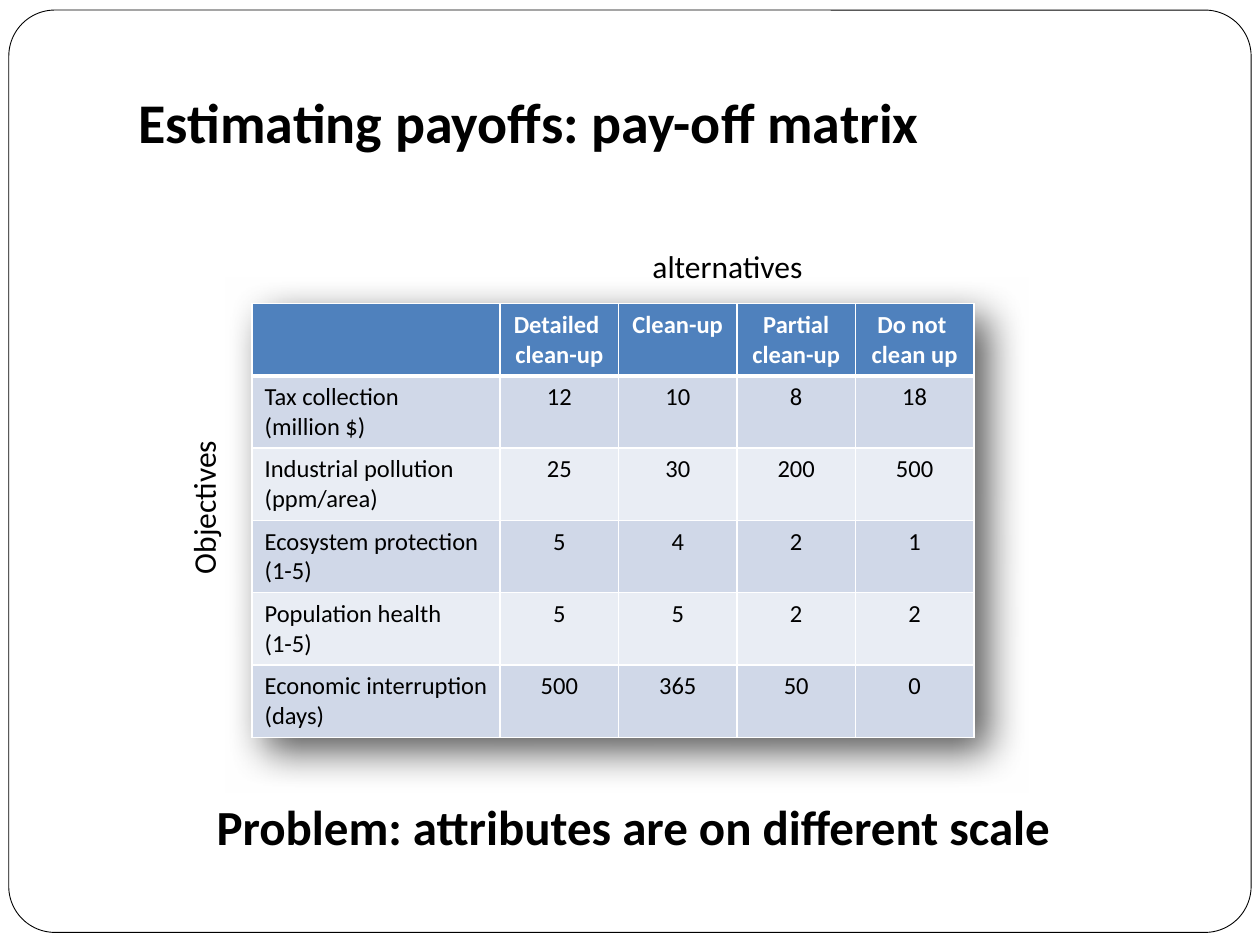
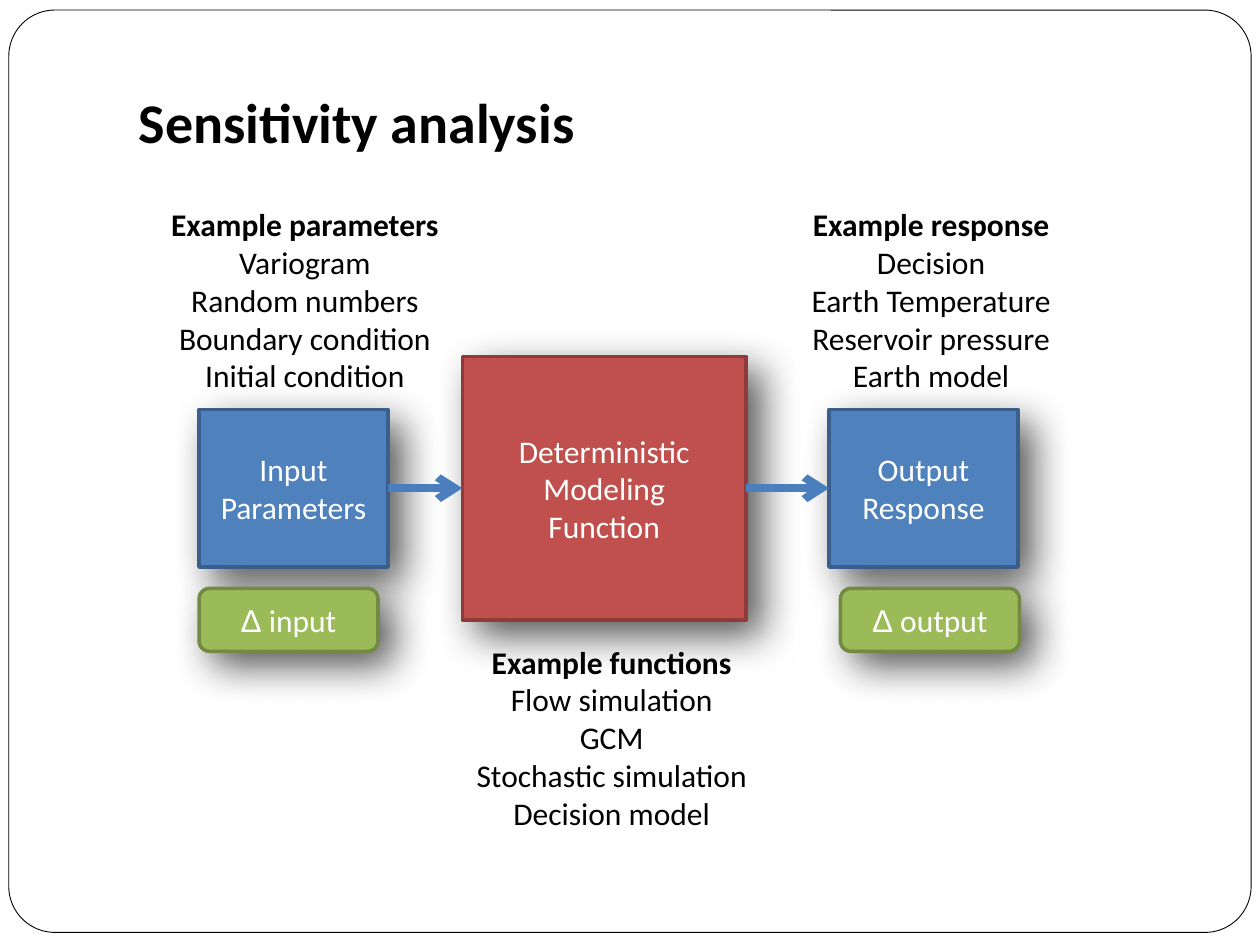
from dataclasses import dataclass
from typing import NamedTuple

import pptx
import pptx.dml.color
import pptx.enum.shapes
import pptx.enum.text
import pptx.oxml
import pptx.oxml.ns
import pptx.util

Inches = pptx.util.Inches
Pt = pptx.util.Pt
RGBColor = pptx.dml.color.RGBColor
Align = pptx.enum.text.PP_ALIGN
Anchor = pptx.enum.text.MSO_ANCHOR
Fit = pptx.enum.text.MSO_AUTO_SIZE
Form = pptx.enum.shapes.MSO_SHAPE
qn = pptx.oxml.ns.qn

BLACK = RGBColor(0x00, 0x00, 0x00)
WHITE = RGBColor(0xFF, 0xFF, 0xFF)
BLUE = RGBColor(0x4F, 0x81, 0xBD)
NAVY = RGBColor(0x3A, 0x5F, 0x8C)
ARROW = RGBColor(0x4B, 0x7E, 0xBC)
RED = RGBColor(0xC0, 0x50, 0x4D)
MAROON = RGBColor(0x8E, 0x3B, 0x39)
GREEN = RGBColor(0x9B, 0xBB, 0x59)
OLIVE = RGBColor(0x73, 0x8A, 0x42)
BANDS = (RGBColor(0xE9, 0xED, 0xF4), RGBColor(0xD0, 0xD8, 0xE8))

NS = pptx.oxml.ns.nsdecls("a")
SHADE = (
    f'<a:outerShdw {NS} blurRad="{Pt(23)}" dist="{Pt(11)}" dir="2700000" algn="tl" rotWithShape="0">'
    '<a:srgbClr val="000000"><a:alpha val="65000"/></a:srgbClr></a:outerShdw>'
)


class Run(NamedTuple):
    text: str
    bold: bool = False
    font: str = "Calibri"


class Place(NamedTuple):
    left: float
    top: float
    width: float
    height: float

    def inches(self) -> list:
        return [Inches(side) for side in self]


Lines = list[list[Run]]


@dataclass
class Label:
    place: Place
    lines: Lines
    size: int = 18
    align: Align = Align.CENTER
    turn: int = 0


@dataclass
class Block:
    place: Place
    lines: Lines
    fill: RGBColor
    edge: RGBColor
    form: Form = Form.RECTANGLE


HEADS = ["", "Detailed \nclean-up", "Clean-up", "Partial clean-up", "Do not \nclean up"]
GOALS = [
    ["Tax collection\n(million $)", "12", "10", "8", "18"],
    ["Industrial pollution (ppm/area)", "25", "30", "200", "500"],
    ["Ecosystem protection\n(1-5)", "5", "4", "2", "1"],
    ["Population health\n(1-5)", "5", "5", "2", "2"],
    ["Economic interruption\n(days)", "500", "365", "50", "0"],
]


def plain(text: str, bold: bool = False) -> Lines:
    return [[Run(line, bold)] for line in text.split("\n")]


def listing(head: str, text: str) -> Lines:
    return plain(head, True) + plain(text)


def write(frame, lines: Lines, size: int, tint: RGBColor, align: Align) -> None:
    for spot, line in enumerate(lines):
        para = frame.paragraphs[0] if spot == 0 else frame.add_paragraph()
        para.alignment = align
        for part in line:
            run = para.add_run()
            run.text = part.text
            run.font.name = part.font
            run.font.size = Pt(size)
            run.font.bold = part.bold
            run.font.color.rgb = tint


def add_frame(slide) -> None:
    frame = slide.shapes.add_shape(Form.ROUNDED_RECTANGLE, *Place(0.07, 0.08, 9.86, 7.32).inches())
    frame.adjustments[0] = 0.05
    frame.shadow.inherit = False
    frame.fill.solid()
    frame.fill.fore_color.rgb = WHITE
    frame.line.color.rgb = BLACK
    frame.line.width = Pt(0.5)
    slide.slide_layout.shapes.element.insert(2, frame.element)


def add_slide(deck, head: str):
    slide = deck.slides.add_slide(deck.slide_layouts[5])
    title = slide.shapes.title
    title.left, title.top, title.width, title.height = Place(1, 0.08, 8.5, 1.25).inches()
    frame = title.text_frame
    frame.auto_size = Fit.NONE
    frame.vertical_anchor = Anchor.BOTTOM
    frame.margin_bottom = Inches(0.1)
    write(frame, plain(head, True), 32, BLACK, Align.LEFT)
    return slide


def add_label(slide, label: Label) -> None:
    box = slide.shapes.add_textbox(*label.place.inches())
    box.rotation = label.turn
    box.text_frame.word_wrap = False
    box.text_frame.auto_size = Fit.SHAPE_TO_FIT_TEXT
    write(box.text_frame, label.lines, label.size, BLACK, label.align)


def add_block(slide, block: Block):
    shape = slide.shapes.add_shape(block.form, *block.place.inches())
    shape.fill.solid()
    shape.fill.fore_color.rgb = block.fill
    shape.line.color.rgb = block.edge
    shape.line.width = Pt(2)
    shape.shadow.inherit = False
    shape.element.spPr.find(qn("a:effectLst")).append(pptx.oxml.parse_xml(SHADE))
    shape.text_frame.vertical_anchor = Anchor.MIDDLE
    write(shape.text_frame, block.lines, 18, WHITE, Align.CENTER)
    return shape


def add_arrow(slide, start, end) -> None:
    arrow = slide.shapes.add_connector(pptx.enum.shapes.MSO_CONNECTOR.STRAIGHT, 0, 0, 0, 0)
    arrow.begin_connect(start, 3)
    arrow.end_connect(end, 1)
    arrow.line.color.rgb = ARROW
    arrow.line.width = Pt(4.5)
    props = arrow.element.spPr
    props.find(qn("a:ln")).append(pptx.oxml.parse_xml(f'<a:tailEnd {NS} type="arrow"/>'))
    props.append(pptx.oxml.parse_xml(f"<a:effectLst {NS}/>"))


def edge_cell(cell, row: int) -> None:
    props = cell._tc.get_or_add_tcPr()
    widths = {"L": 1, "R": 1, "T": 3 if row == 1 else 1, "B": 3 if row == 0 else 1}
    for spot, (side, width) in enumerate(widths.items()):
        props.insert(spot, pptx.oxml.parse_xml(
            f'<a:ln{side} {NS} w="{Pt(width)}"><a:solidFill>'
            f'<a:srgbClr val="{WHITE}"/></a:solidFill></a:ln{side}>'
        ))


def add_matrix(slide) -> None:
    rows = [HEADS] + GOALS
    place = Place(2, 2.41, 5.75, 3.42)
    table = slide.shapes.add_table(len(rows), len(HEADS), *place.inches()).table
    props = table._tbl.tblPr
    props.insert(0, pptx.oxml.parse_xml(f"<a:effectLst {NS}>{SHADE}</a:effectLst>"))
    for spot, column in enumerate(table.columns):
        column.width = Inches(0.94 if spot else 1.97)
    for row, texts in enumerate(rows):
        for col, text in enumerate(texts):
            cell = table.cell(row, col)
            cell.fill.solid()
            cell.fill.fore_color.rgb = BANDS[row % 2] if row else BLUE
            edge_cell(cell, row)
            align = Align.CENTER if col else Align.LEFT
            write(cell.text_frame, plain(text, row == 0), 14, BLACK if row else WHITE, align)


def build_payoff(deck) -> None:
    slide = add_slide(deck, "Estimating payoffs: pay-off matrix")
    add_frame(slide)
    add_matrix(slide)
    for label in (
        Label(Place(5.08, 1.91, 1.41, 0.4), plain("alternatives"), align=Align.LEFT),
        Label(Place(0.98, 3.82, 1.27, 0.4), plain("Objectives"), align=Align.LEFT, turn=270),
        Label(Place(1.62, 6.27, 6.92, 0.57),
              plain("Problem: attributes are on different scale", True), 28, Align.LEFT),
    ):
        add_label(slide, label)


def build_tests(deck) -> None:
    slide = add_slide(deck, "Sensitivity analysis")
    stages = [
        add_block(slide, block) for block in (
            Block(Place(1.58, 3.25, 1.5, 1.25), plain("Input\nParameters"), BLUE, NAVY),
            Block(Place(3.67, 2.83, 2.25, 2.09), plain("Deterministic\nModeling\nFunction"), RED, MAROON),
            Block(Place(6.58, 3.25, 1.5, 1.25), plain("Output\nResponse"), BLUE, NAVY),
        )
    ]
    for start, end in zip(stages, stages[1:]):
        add_arrow(slide, start, end)
    for label in (
        Label(Place(1.25, 1.58, 2.34, 1.62), listing(
            "Example parameters", "Variogram\nRandom numbers\nBoundary condition\nInitial condition")),
        Label(Place(3.67, 5.05, 2.37, 1.62), listing(
            "Example functions", "Flow simulation\nGCM\nStochastic simulation\nDecision model")),
        Label(Place(6.33, 1.58, 2.12, 1.62), listing(
            "Example response", "Decision\nEarth Temperature\nReservoir pressure\nEarth model")),
    ):
        add_label(slide, label)
    for left, name in ((1.58, " input"), (6.67, " output")):
        lines = [[Run("Δ", font="Arial"), Run(name)]]
        add_block(slide, Block(Place(left, 4.67, 1.42, 0.5), lines, GREEN, OLIVE, Form.ROUNDED_RECTANGLE))


def main() -> None:
    deck = pptx.Presentation()
    deck.slide_width = Inches(10)
    deck.slide_height = Inches(7.5)
    build_payoff(deck)
    build_tests(deck)
    deck.save("out.pptx")


if __name__ == "__main__":
    main()
